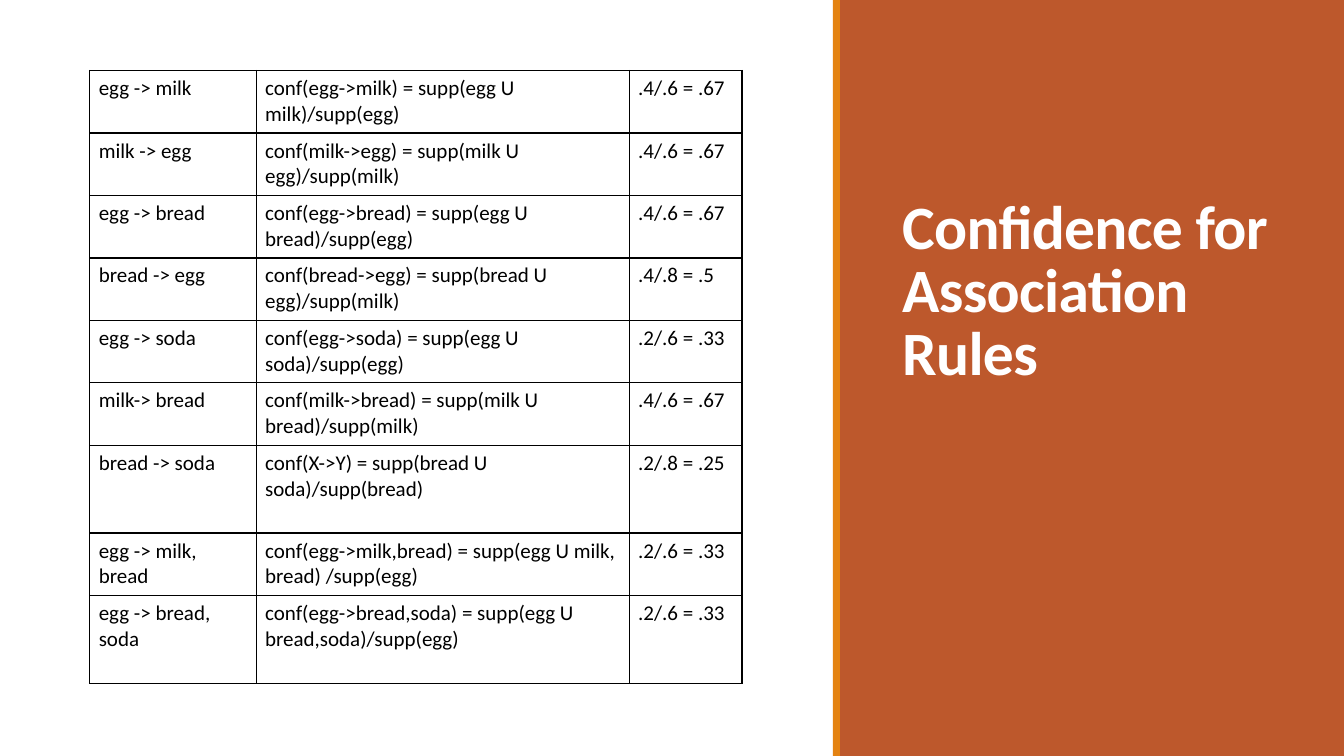
from lxml.etree import SubElement
from pptx import Presentation
from pptx.dml.color import RGBColor
from pptx.enum.shapes import MSO_SHAPE
from pptx.enum.text import MSO_ANCHOR
from pptx.oxml.ns import qn
from pptx.util import Inches, Pt

COLOURS = {"white": "FFFFFF", "rust": "BD582C", "orange": "E48312", "black": "000000"}
FONT = "Calibri"
WIDTH, HEIGHT = 13.33, 7.5
PANEL_LEFT, STRIPE_WIDTH = 8.33, 0.07
COLUMN_WIDTHS = [1.65, 3.7, 1.12]
ROW_HEIGHT, TALL_ROW_HEIGHT = 0.62, 0.87
TALL_ROWS = {6, 8}
RULES = [
    ("egg -> milk", "conf(egg->milk) = supp(egg U milk)/supp(egg)", ".4/.6 = .67"),
    ("milk -> egg", "conf(milk->egg) = supp(milk U egg)/supp(milk)", ".4/.6 = .67"),
    ("egg -> bread", "conf(egg->bread) = supp(egg U bread)/supp(egg)", ".4/.6 = .67"),
    ("bread -> egg", "conf(bread->egg) = supp(bread U egg)/supp(milk)", ".4/.8 = .5"),
    ("egg -> soda", "conf(egg->soda) = supp(egg U soda)/supp(egg)", ".2/.6 = .33"),
    ("milk-> bread", "conf(milk->bread) = supp(milk U bread)/supp(milk)", ".4/.6 = .67"),
    ("bread -> soda", "conf(X->Y) = supp(bread U soda)/supp(bread)", ".2/.8 = .25"),
    ("egg -> milk, bread", "conf(egg->milk,bread) = supp(egg U milk, bread) /supp(egg)", ".2/.6 = .33"),
    ("egg -> bread, soda", "conf(egg->bread,soda) = supp(egg U bread,soda)/supp(egg)", ".2/.6 = .33"),
]


def colour(name):
    return RGBColor.from_string(COLOURS[name])


def style_font(font, size, colour_name, bold=False):
    font.name = FONT
    font.size = Pt(size)
    font.bold = bold
    font.color.rgb = colour(colour_name)


def add_band(page, left, width, fill):
    band = page.shapes.add_shape(
        MSO_SHAPE.RECTANGLE, Inches(left), 0, Inches(width), Inches(HEIGHT))
    band.shadow.inherit = False
    band.fill.solid()
    band.fill.fore_color.rgb = colour(fill)
    band.line.fill.background()


def add_title(page, text):
    box = page.shapes.add_textbox(Inches(8.85), Inches(0.7), Inches(4), Inches(3.2))
    frame = box.text_frame
    frame.word_wrap = True
    frame.vertical_anchor = MSO_ANCHOR.BOTTOM
    para = frame.paragraphs[0]
    para.line_spacing = 0.85
    span = para.add_run()
    span.text = text
    style_font(para.font, 44, "white", bold=True)
    span.font._element.set("spc", "-50")


def add_borders(cell):
    properties = cell._tc.get_or_add_tcPr()
    for side in ("a:lnL", "a:lnR", "a:lnT", "a:lnB"):
        line = SubElement(properties, qn(side), w=str(Pt(1)))
        fill = SubElement(line, qn("a:solidFill"))
        SubElement(fill, qn("a:srgbClr"), val=COLOURS["black"])


def fill_cell(cell, text):
    cell.text = text
    cell.margin_left = cell.margin_right = Inches(0.09)
    cell.margin_top = cell.margin_bottom = Inches(0.05)
    style_font(cell.text_frame.paragraphs[0].font, 15, "black")
    add_borders(cell)
    cell.fill.background()


def add_rules_table(page):
    heights = [TALL_ROW_HEIGHT if index in TALL_ROWS else ROW_HEIGHT
               for index in range(len(RULES))]
    table = page.shapes.add_table(
        len(RULES), len(COLUMN_WIDTHS), Inches(0.89), Inches(0.7),
        Inches(sum(COLUMN_WIDTHS)), Inches(sum(heights))).table
    table.first_row = table.horz_banding = False
    for column, width in zip(table.columns, COLUMN_WIDTHS):
        column.width = Inches(width)
    for row, height, rule in zip(table.rows, heights, RULES):
        row.height = Inches(height)
        for cell, text in zip(row.cells, rule):
            fill_cell(cell, text)


def main():
    deck = Presentation()
    deck.slide_width, deck.slide_height = Inches(WIDTH), Inches(HEIGHT)
    page = deck.slides.add_slide(deck.slide_layouts[6])
    page.background.fill.solid()
    page.background.fill.fore_color.rgb = colour("white")
    add_band(page, PANEL_LEFT, WIDTH - PANEL_LEFT, "rust")
    add_title(page, "Confidence for Association Rules")
    add_band(page, PANEL_LEFT - STRIPE_WIDTH, STRIPE_WIDTH, "orange")
    add_rules_table(page)
    deck.save("out.pptx")


if __name__ == "__main__":
    main()
